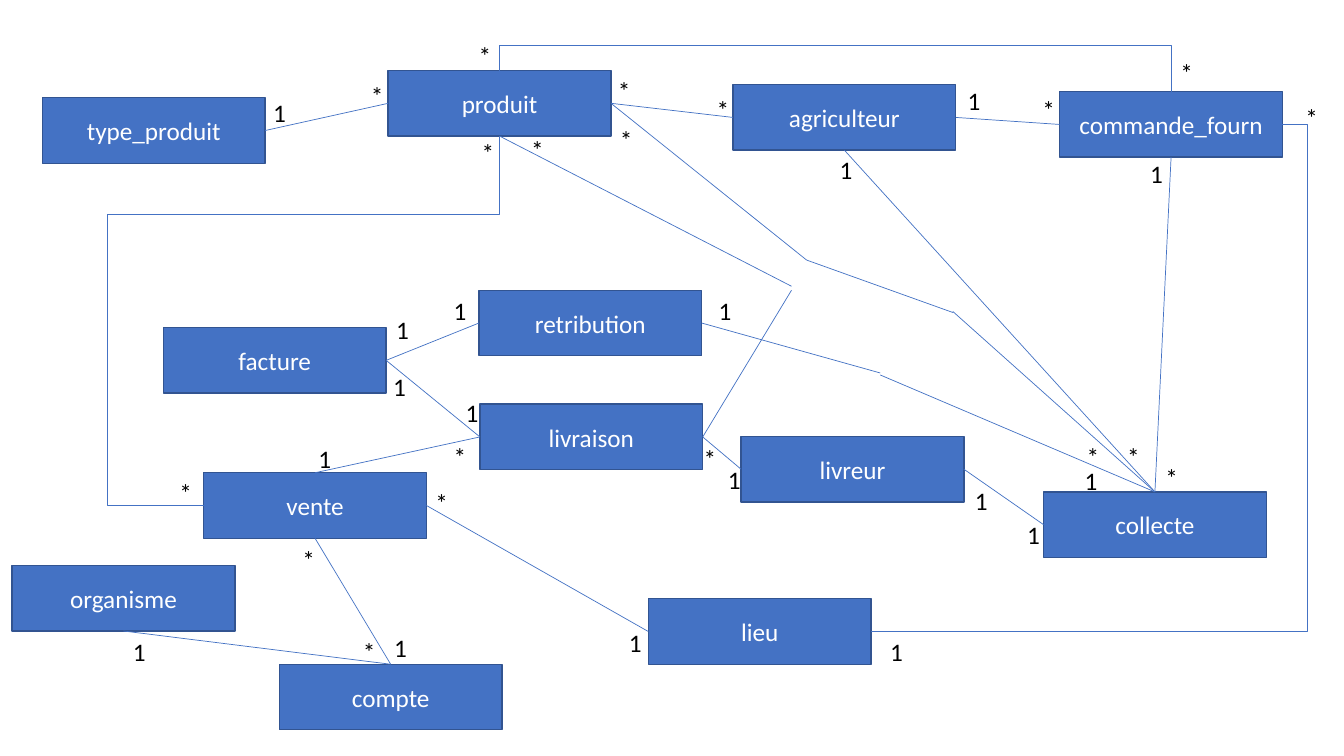
from pptx import Presentation
from pptx.dml.color import RGBColor
from pptx.enum.shapes import MSO_CONNECTOR, MSO_SHAPE
from pptx.enum.text import MSO_ANCHOR, MSO_AUTO_SIZE, PP_ALIGN
from pptx.oxml import parse_xml
from pptx.oxml.ns import nsdecls, qn
from pptx.util import Inches, Pt

STRAIGHT, ELBOW = MSO_CONNECTOR.STRAIGHT, MSO_CONNECTOR.ELBOW
RECTANGLE = MSO_SHAPE.RECTANGLE
MIDDLE, CENTER, LEFT_ALIGN = MSO_ANCHOR.MIDDLE, PP_ALIGN.CENTER, PP_ALIGN.LEFT
GROW = MSO_AUTO_SIZE.SHAPE_TO_FIT_TEXT

BLUE = RGBColor(0x44, 0x72, 0xC4)
DARK_BLUE = RGBColor(0x32, 0x54, 0x91)
WHITE = RGBColor(0xFF, 0xFF, 0xFF)
BLACK = RGBColor(0x00, 0x00, 0x00)

BOX_WIDTH, BOX_HEIGHT = 2.21, 0.65
LABEL_WIDTH, LABEL_HEIGHT = 0.33, 0.4
TOP, LEFT, BOTTOM, RIGHT = range(4)  # connection sites of a rectangle


class Diagram:
    """Style and current slide of the class diagram."""

    font, size = "Calibri", Pt(18)

    def __init__(self, page):
        self.page = page
        self.boxes = {}
        self.corners = {}

    def add_text(self, frame, text, color, align):
        para = frame.paragraphs[0]
        para.alignment = align
        span = para.add_run()
        span.text = text
        span.font.name, span.font.size = self.font, self.size
        span.font.color.rgb = color

    def entity(self, name, left, top):
        box = self.page.shapes.add_shape(RECTANGLE, Inches(left), Inches(top),
                                         Inches(BOX_WIDTH), Inches(BOX_HEIGHT))
        box.shadow.inherit = False
        box.fill.solid()
        box.fill.fore_color.rgb = BLUE
        box.line.color.rgb = DARK_BLUE
        box.line.width = Pt(1)
        box.text_frame.vertical_anchor = MIDDLE
        self.add_text(box.text_frame, name, WHITE, CENTER)
        self.boxes[name] = box
        self.corners[name] = (left, top)

    def multiplicity(self, text, left, top, width=LABEL_WIDTH):
        box = self.page.shapes.add_textbox(Inches(left), Inches(top),
                                           Inches(width), Inches(LABEL_HEIGHT))
        box.text_frame.word_wrap = width != LABEL_WIDTH
        box.text_frame.auto_size = GROW
        self.add_text(box.text_frame, text, BLACK, LEFT_ALIGN)

    def point(self, end):
        """Position of an end: (entity, site) or a free (x, y)."""
        if end[0] not in self.corners:
            return end
        (left, top), site = self.corners[end[0]], end[1]
        across = {LEFT: 0, RIGHT: 1}.get(site, 0.5)
        down = {TOP: 0, BOTTOM: 1}.get(site, 0.5)
        return left + across * BOX_WIDTH, top + down * BOX_HEIGHT

    def link(self, start, end, kind=STRAIGHT):
        places = [Inches(v) for v in (*self.point(start), *self.point(end))]
        line = self.page.shapes.add_connector(kind, *places)
        if start[0] in self.boxes:
            line.begin_connect(self.boxes[start[0]], start[1])
        if end[0] in self.boxes:
            line.end_connect(self.boxes[end[0]], end[1])
        line.line.color.rgb = BLUE
        line.line.width = Pt(0.5)
        line.element.spPr.append(parse_xml(f"<a:effectLst {nsdecls('a')}/>"))
        return line

    def elbow(self, start, end, preset, turn=0, flip=False, bend=None):
        """Bent link; turn is in degrees, bend a share of its first leg."""
        line = self.link(start, end, ELBOW)
        (x1, y1), (x2, y2) = self.point(start), self.point(end)
        width, height = abs(x2 - x1), abs(y2 - y1)
        if turn in (90, 270):
            width, height = height, width
        line.left = Inches((x1 + x2 - width) / 2)
        line.top = Inches((y1 + y2 - height) / 2)
        line.width, line.height = Inches(width), Inches(height)
        frame = line.element.spPr.find(qn("a:xfrm"))
        frame.set("rot", str(turn * 60000))
        frame.set("flipH", str(int(flip)))
        frame.set("flipV", "0")
        shape = line.element.spPr.find(qn("a:prstGeom"))
        shape.set("prst", preset)
        if bend is not None:
            shape.find(qn("a:avLst")).append(parse_xml(
                f'<a:gd {nsdecls("a")} name="adj1" fmla="val {round(bend * 100000)}"/>'))


ENTITIES = [
    ("type_produit", 0.42, 0.97), ("produit", 3.85, 0.7), ("compte", 2.77, 6.59),
    ("retribution", 4.75, 2.88), ("collecte", 10.35, 4.88), ("livraison", 4.76, 4.01),
    ("vente", 2.02, 4.69), ("livreur", 7.35, 4.33), ("facture", 1.62, 3.25),
    ("agriculteur", 7.27, 0.84), ("commande_fourn", 10.51, 0.91),
    ("lieu", 6.43, 5.94), ("organisme", 0.12, 5.61),
]

LINKS = [
    (("compte", TOP), ("vente", BOTTOM)),
    (("type_produit", RIGHT), ("produit", LEFT)),
    (("produit", RIGHT), ("agriculteur", LEFT)),
    (("agriculteur", RIGHT), ("commande_fourn", LEFT)),
    (("agriculteur", BOTTOM), ("collecte", TOP)),
    (("livreur", RIGHT), ("collecte", LEFT)),
    (("produit", RIGHT), (8, 2.58)),
    ((8, 2.58), (9.45, 3.1)),
    ((9.45, 3.09), ("collecte", TOP)),
    (("collecte", TOP), (8.73, 3.72)),
    ((8.73, 3.7), ("retribution", RIGHT)),
    (("retribution", LEFT), ("facture", RIGHT)),
    (("facture", RIGHT), ("livraison", LEFT)),
    (("livraison", LEFT), ("vente", TOP)),
    (("livraison", RIGHT), ("livreur", LEFT)),
    (("commande_fourn", BOTTOM), ("collecte", TOP)),
    (("lieu", LEFT), ("vente", RIGHT)),
    (("organisme", BOTTOM), ("compte", TOP)),
    (("livraison", RIGHT), (7.85, 2.88)),
    ((7.85, 2.84), ("produit", BOTTOM)),
]

MULTIPLICITIES = {
    "1": [
        (2.61, 0.92), (8.23, 1.48, 0.3), (9.5, 0.8), (11.31, 1.52), (8.73, 6.26),
        (7.03, 2.88), (10.66, 4.57), (4.4, 2.88), (3.83, 3.07), (3.8, 3.63),
        (4.52, 3.89), (3.06, 4.35), (7.12, 4.56), (9.57, 4.77), (10.09, 5.1),
        (6.14, 6.17), (3.81, 6.22), (1.22, 6.26),
    ],
    "*": [
        (3.58, 0.75), (4.68, 1.31), (1.68, 4.69), (6.05, 1.18), (10.68, 4.33),
        (4.65, 0.35), (11.61, 0.52), (6.03, 0.7, 0.27), (7.01, 0.89), (11.08, 4.33),
        (10.24, 0.89), (11.46, 4.54), (12.85, 0.97), (4.4, 4.33), (6.88, 4.35),
        (4.22, 4.79), (2.9, 5.35), (3.5, 6.26), (5.17, 1.28),
    ],
}

deck = Presentation()
deck.slide_width, deck.slide_height = Inches(13.33), Inches(7.5)
diagram = Diagram(deck.slides.add_slide(deck.slide_layouts[6]))

# Entities
for entity in ENTITIES:
    diagram.entity(*entity)

# Straight associations
for ends in LINKS:
    diagram.link(*ends)

# Bent associations
vente_corner = (1.06, 2.13)
diagram.elbow(("produit", TOP), ("commande_fourn", TOP), "bentConnector3", 270, True, -1.17)
diagram.elbow(("produit", BOTTOM), vente_corner, "bentConnector2", 90)
diagram.elbow(("vente", LEFT), vente_corner, "bentConnector2", 180)
diagram.elbow(("commande_fourn", RIGHT), ("lieu", RIGHT), "bentConnector3", 0, True, -0.06)

# Multiplicities
for sign, spots in MULTIPLICITIES.items():
    for spot in spots:
        diagram.multiplicity(sign, *spot)

deck.save("out.pptx")
